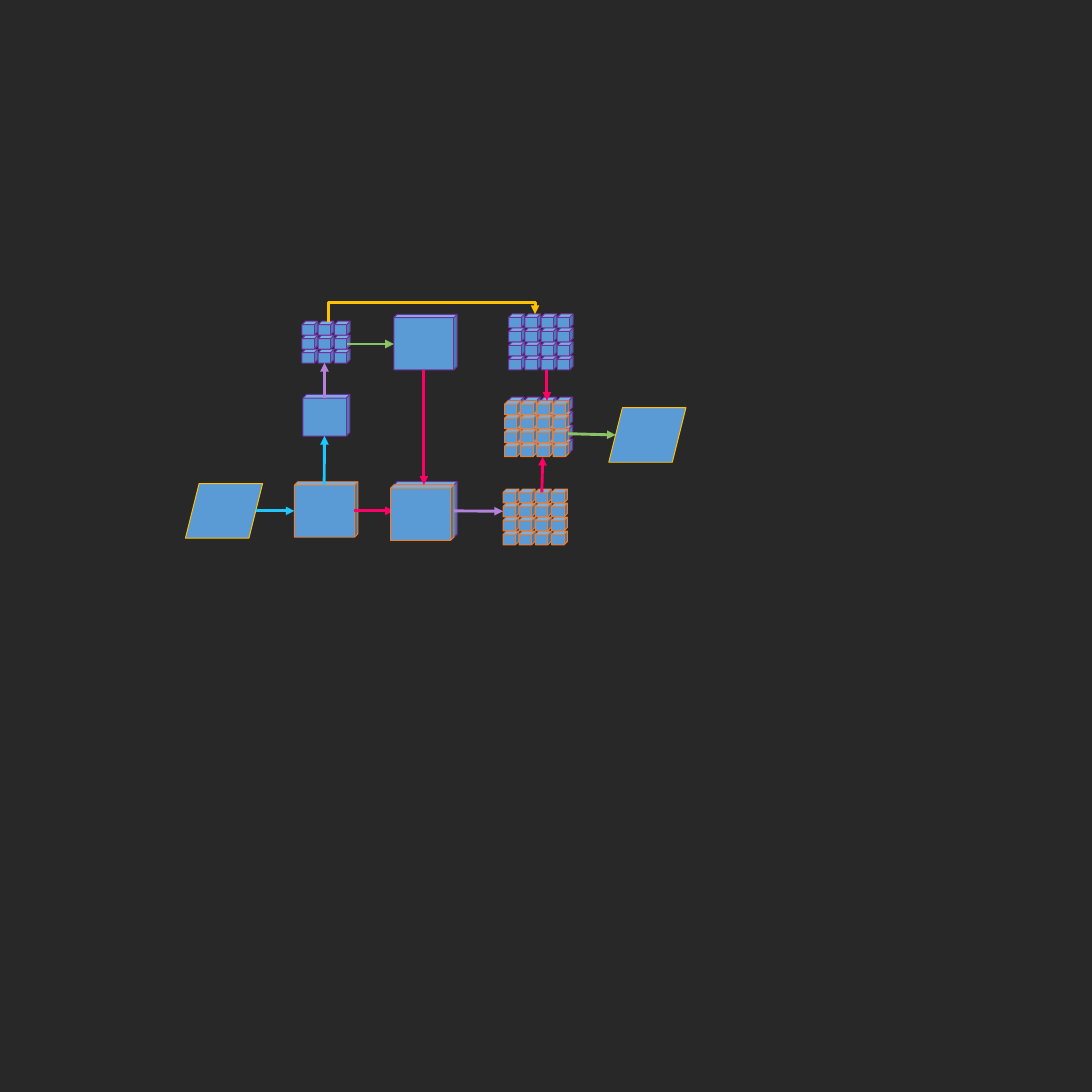
from dataclasses import dataclass

from pptx import Presentation
from pptx.dml.color import RGBColor
from pptx.enum.shapes import MSO_CONNECTOR, MSO_SHAPE
from pptx.oxml.ns import qn
from pptx.oxml.xmlchemy import OxmlElement
from pptx.shapes.connector import Connector
from pptx.shapes.shapetree import GroupShapes, SlideShapes
from pptx.util import Cm, Pt

SIDE = Cm(60)
CELL = SIDE / 60

BACKGROUND = RGBColor(0x28, 0x28, 0x28)
BLUE = RGBColor(0x5B, 0x9B, 0xD5)
PURPLE = RGBColor(0x70, 0x30, 0xA0)
ORANGE = RGBColor(0xED, 0x7D, 0x31)
YELLOW = RGBColor(0xFF, 0xC0, 0x00)
LILAC = RGBColor(0xB4, 0x82, 0xDA)
GREEN = RGBColor(0x8B, 0xC1, 0x67)
CYAN = RGBColor(0x21, 0xC5, 0xFF)
PINK = RGBColor(0xFF, 0x00, 0x66)

CUBE_SIZE = (0.87, 0.76)
CUBE_PITCH = (0.89, 0.77)
BLOCK_SIZE = (3.48, 3.05)
SHEET_SIZE = (4.24, 3)


def grid(value: float) -> int:
    return round(value * CELL)


@dataclass(frozen=True)
class Solid:
    column: float
    row: float
    size: tuple[float, float]
    line: RGBColor
    depth: float = 0.25
    kind: MSO_SHAPE = MSO_SHAPE.CUBE

    def draw(self, shapes: SlideShapes | GroupShapes) -> None:
        shape = shapes.add_shape(self.kind, *map(grid, (self.column, self.row, *self.size)))
        shape.adjustments[0] = self.depth
        shape.shadow.inherit = False
        shape.fill.solid()
        shape.fill.fore_color.rgb = BLUE
        shape.line.color.rgb = self.line
        shape.line.width = Pt(1.5)


@dataclass(frozen=True)
class Cluster:
    solids: tuple[Solid, ...]

    def draw(self, shapes: SlideShapes) -> None:
        group = shapes.add_group_shape()
        for solid in self.solids:
            solid.draw(group.shapes)


@dataclass(frozen=True)
class Arrow:
    start: tuple[float, float]
    end: tuple[float, float]
    color: RGBColor
    kind: MSO_CONNECTOR = MSO_CONNECTOR.STRAIGHT

    def draw(self, shapes: SlideShapes) -> Connector:
        connector = shapes.add_connector(self.kind, *map(grid, (*self.start, *self.end)))
        connector.line.color.rgb = self.color
        connector.line.width = Pt(4.5)
        head = OxmlElement("a:tailEnd")
        head.set("type", "triangle")
        connector.line._get_or_add_ln().append(head)
        connector._element.spPr.append(OxmlElement("a:effectLst"))
        return connector


@dataclass(frozen=True)
class UpturnedArrow(Arrow):
    kind: MSO_CONNECTOR = MSO_CONNECTOR.ELBOW
    bend: float = 2.56

    def draw(self, shapes: SlideShapes) -> Connector:
        connector = super().draw(shapes)
        properties = connector._element.spPr
        properties.find(qn("a:xfrm")).set("rot", str(90 * 60000))
        guide = OxmlElement("a:gd")
        guide.set("name", "adj1")
        guide.set("fmla", f"val {round(self.bend * 100000)}")
        properties.find(qn("a:prstGeom")).find(qn("a:avLst")).append(guide)
        return connector


def sheet(column: float, row: float) -> Solid:
    return Solid(column, row, SHEET_SIZE, YELLOW, kind=MSO_SHAPE.PARALLELOGRAM)


def block(column: float, row: float, line: RGBColor) -> Solid:
    return Solid(column, row, BLOCK_SIZE, line, depth=0.06)


def pack(column: float, row: float, count: int, line: RGBColor) -> tuple[Solid, ...]:
    across, down = CUBE_PITCH
    return tuple(
        Solid(column + i * across, row + j * down, CUBE_SIZE, line)
        for i in range(count)
        for j in reversed(range(count))
    )


SCENE = (
    sheet(10.19, 26.57),
    Cluster(pack(16.59, 17.65, 3, PURPLE)),
    Solid(16.64, 21.67, (2.59, 2.29), PURPLE, depth=0.09),
    block(16.18, 26.47, ORANGE),
    block(21.64, 17.27, PURPLE),
    Arrow((17.83, 21.87), (17.83, 19.94), LILAC),
    Arrow((19.05, 18.9), (21.64, 18.9), GREEN),
    Arrow((17.81, 26.64), (17.83, 23.95), CYAN),
    Arrow((19.46, 28.07), (21.64, 28.07), PINK),
    Cluster(pack(27.64, 26.87, 4, ORANGE)),
    Cluster(pack(27.95, 17.25, 4, PURPLE)),
    Arrow((29.77, 27.05), (29.82, 25.1), PINK),
    Cluster(pack(27.92, 21.82, 4, PURPLE) + pack(27.72, 22.02, 4, ORANGE)),
    Arrow((30.05, 20.32), (30.05, 22.02), PINK),
    UpturnedArrow((23.93, 23.14), (23.52, 11.79), YELLOW),
    Arrow((31.22, 23.83), (33.83, 23.9), GREEN),
    Arrow((14.05, 28.07), (16.18, 28.07), CYAN),
    Cluster((block(21.64, 26.47, PURPLE), block(21.46, 26.64, ORANGE))),
    Arrow((23.29, 20.32), (23.29, 26.64), PINK),
    Arrow((24.94, 28.07), (27.64, 28.09), LILAC),
    sheet(33.45, 22.4),
)


def main() -> None:
    presentation = Presentation()
    presentation.slide_width = presentation.slide_height = SIDE
    slide = presentation.slides.add_slide(presentation.slide_layouts[6])
    slide.background.fill.solid()
    slide.background.fill.fore_color.rgb = BACKGROUND
    for item in SCENE:
        item.draw(slide.shapes)
    presentation.save("out.pptx")


if __name__ == "__main__":
    main()
